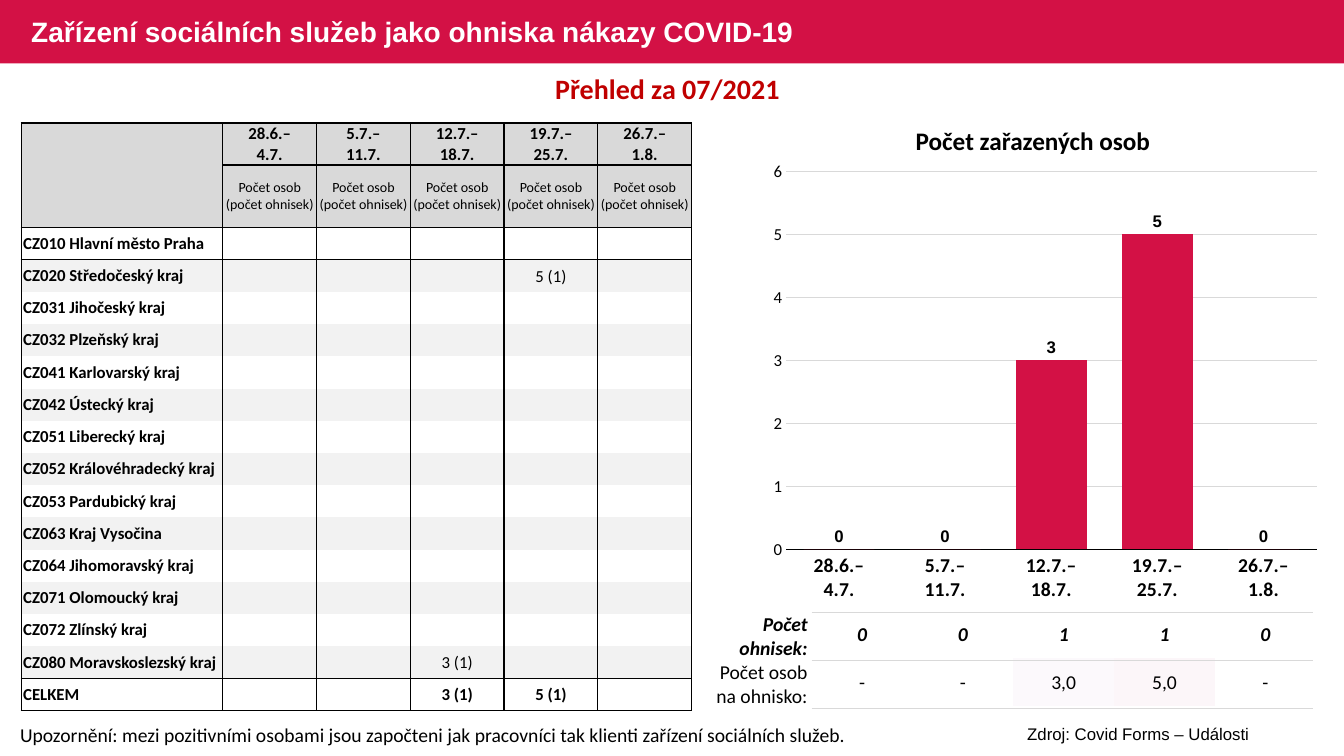
from dataclasses import dataclass

from lxml import etree
from pptx import Presentation
from pptx import util as u
from pptx.chart import data as chart_data
from pptx.dml import color as dml
from pptx.enum import chart as ch, shapes, text
from pptx.oxml import ns

COLORS = {
    "crimson": "D31145", "red": "C00000", "black": "000000", "white": "FFFFFF",
    "header": "D9D9D9", "band": "F2F2F2", "rule": "D9D9D9",
    "low": "FCF9FC", "high": "FCF6F9",
}
NO_STYLE = "{2D5ABB26-0587-4C30-8999-92F81FD0307C}"
LEFT, CENTER, RIGHT = text.PP_ALIGN.LEFT, text.PP_ALIGN.CENTER, text.PP_ALIGN.RIGHT

WEEKS = ["28.6.–\n4.7.", "5.7.–\n11.7.", "12.7.–\n18.7.", "19.7.–\n25.7.", "26.7.–\n1.8."]
PERSONS = [0, 0, 3, 5, 0]
REGIONS = [
    "CZ010 Hlavní město Praha", "CZ020 Středočeský kraj", "CZ031 Jihočeský kraj",
    "CZ032 Plzeňský kraj", "CZ041 Karlovarský kraj", "CZ042 Ústecký kraj",
    "CZ051 Liberecký kraj", "CZ052 Královéhradecký kraj", "CZ053 Pardubický kraj",
    "CZ063 Kraj Vysočina", "CZ064 Jihomoravský kraj", "CZ071 Olomoucký kraj",
    "CZ072 Zlínský kraj", "CZ080 Moravskoslezský kraj",
]
OUTBREAKS = {("CZ020", 3): "5 (1)", ("CZ080", 2): "3 (1)"}


@dataclass
class Style:
    size: float
    color: str = "black"
    bold: bool = False
    italic: bool = False
    name: str = "Calibri"
    align: text.PP_ALIGN = CENTER


@dataclass
class Label:
    words: str
    box: tuple[float, float, float, float]
    style: Style


LABELS = [
    Label("Přehled za 07/2021", (0.21, 0.66, 12.82, 0.44), Style(20, "red", True)),
    Label("Počet zařazených osob", (7.56, 1.19, 5.37, 0.4), Style(18, bold=True)),
    Label("Upozornění: mezi pozitivními osobami jsou započteni jak pracovníci "
          "tak klienti zařízení sociálních služeb.", (0.1, 7.12, 8.52, 0.34), Style(14, align=LEFT)),
    Label("Zdroj: Covid Forms – Události", (9.35, 7.13, 3.88, 0.3), Style(12, name="Arial")),
]


def rgb(name: str) -> dml.RGBColor:
    return dml.RGBColor.from_string(COLORS[name])


def inches(box: tuple) -> list:
    return [u.Inches(value) for value in box]


def set_font(font, style: Style) -> None:
    font.size, font.name = u.Pt(style.size), style.name
    font.bold, font.italic = style.bold, style.italic
    font.color.rgb = rgb(style.color)


def write(paragraph, words: str, style: Style) -> None:
    paragraph.text = words
    paragraph.alignment = style.align
    set_font(paragraph.font, style)


def add_table(slide, left: float, top: float, columns: list, rows: list):
    table = slide.shapes.add_table(len(rows), len(columns), *inches(
        (left, top, sum(columns), sum(rows)))).table
    table.first_row = table.horz_banding = False
    table._tbl.tblPr.find(ns.qn("a:tableStyleId")).text = NO_STYLE
    for column, width in zip(table.columns, columns):
        column.width = u.Inches(width)
    for row, height in zip(table.rows, rows):
        row.height = u.Inches(height)
    return table


def fill_cell(cell, words: str, style: Style, fill: str = "", borders: dict | None = None,
              color: str = "black", margins: tuple = (0.01, 0.01, 0.01, 0)) -> None:
    """Borders map a side (L, R, T, B) to a width in points."""
    cell.vertical_anchor = text.MSO_ANCHOR.MIDDLE
    cell.margin_left, cell.margin_top, cell.margin_right, cell.margin_bottom = inches(margins)
    properties = cell._tc.get_or_add_tcPr()
    for side in "LRTB":
        width = (borders or {}).get(side)
        if width:
            line = etree.SubElement(properties, ns.qn(f"a:ln{side}"), w=str(u.Pt(width)))
            solid = etree.SubElement(line, ns.qn("a:solidFill"))
            etree.SubElement(solid, ns.qn("a:srgbClr"), val=COLORS[color])
    if fill:
        cell.fill.solid()
        cell.fill.fore_color.rgb = rgb(fill)
    else:
        cell.fill.background()
    write(cell.text_frame.paragraphs[0], words, style)


def add_region_table(slide) -> None:
    rows = [["", *WEEKS], [""] + ["Počet osob (počet ohnisek)"] * 5]
    rows += [[region] + [OUTBREAKS.get((region[:5], week), "") for week in range(5)]
             for region in REGIONS]
    rows.append(["CELKEM", "", "", "3 (1)", "5 (1)", ""])
    last = len(rows) - 1
    rules = {0: 1, 1: 1, 2: 0.5, last: 1, last + 1: 1}
    table = add_table(slide, 0.21, 1.22, [2] + [0.93] * 5, [0.41, 0.62] + [0.32] * (last - 1))
    for r, row in enumerate(rows):
        for c, words in enumerate(row):
            borders = {"L": 1, "R": 1, "T": rules.get(r), "B": rules.get(r + 1)}
            if c == 0 and r < 2:
                borders["B" if r == 0 else "T"] = None
            fill = "header" if r < 2 else "band" if r % 2 and r < last else ""
            style = Style(10 if r == 1 else 12, bold=r in (0, last) or c == 0,
                          align=CENTER if c else LEFT)
            margins = (0.01, 0.01, 0.01, 0) if c else (0.02, 0, 0.02, 0)
            fill_cell(table.cell(r, c), words, style, fill, borders, margins=margins)


def add_outbreak_tables(slide) -> None:
    styles = [Style(14, bold=True, italic=True), Style(14)]
    # Values under the chart
    values = [["0", "0", "1", "1", "0"], ["-", "-", "3,0", "5,0", "-"]]
    tints = {(1, 2): "low", (1, 3): "high"}
    table = add_table(slide, 8.05, 6.06, [1] * 5, [0.47] * 2)
    for r, row in enumerate(values):
        for c, words in enumerate(row):
            fill_cell(table.cell(r, c), words, styles[r], tints.get((r, c), ""))
    # Row names with grey rules running across the values
    table = add_table(slide, 7.04, 6.08, [1.01] + [0.71] * 7, [0.47] * 2)
    for r, name in enumerate(["Počet ohnisek:", "Počet osob na ohnisko:"]):
        styles[r].align = RIGHT
        fill_cell(table.cell(r, 0), name, styles[r], margins=(0.01, 0, 0.04, 0))
        for c in range(1, 8):
            fill_cell(table.cell(r, c), "", styles[r], borders={"T": 1, "B": 1}, color="rule")


def add_person_chart(slide) -> None:
    source = chart_data.CategoryChartData()
    source.categories = WEEKS
    source.add_series("Počet osob", PERSONS)
    chart = slide.shapes.add_chart(ch.XL_CHART_TYPE.COLUMN_CLUSTERED,
                                   *inches((7.56, 1.51, 5.61, 4.55)), source).chart
    chart.has_legend = chart.has_title = False
    set_font(chart.font, Style(14, bold=True, name="Arial"))
    # Columns and their labels
    plot = chart.plots[0]
    plot.gap_width, plot.vary_by_categories, plot.has_data_labels = 50, False, True
    column_fill = plot.series[0].format.fill
    column_fill.solid()
    column_fill.fore_color.rgb = rgb("crimson")
    labels = plot.data_labels
    labels.show_value, labels.position = True, ch.XL_LABEL_POSITION.OUTSIDE_END
    set_font(labels.font, Style(12, bold=True, name="Arial"))
    # Axes
    weeks, persons = chart.category_axis, chart.value_axis
    for axis, style in ((weeks, Style(14, bold=True)), (persons, Style(12))):
        axis.major_tick_mark = axis.minor_tick_mark = ch.XL_TICK_MARK.NONE
        set_font(axis.tick_labels.font, style)
    persons.minimum_scale, persons.maximum_scale, persons.major_unit = 0, 6, 1
    persons.format.line.fill.background()
    for line, color in ((weeks.format.line, "black"), (persons.major_gridlines.format.line, "rule")):
        line.width, line.color.rgb = u.Pt(0.75), rgb(color)


def add_title(slide) -> None:
    bar = slide.shapes.add_shape(shapes.MSO_SHAPE.RECTANGLE, *inches((0, 0, 13.33, 0.63)))
    bar.shadow.inherit = False
    bar.fill.solid()
    bar.fill.fore_color.rgb = rgb("crimson")
    bar.line.fill.background()
    slide.shapes._spTree.insert(2, bar._element)  # behind the title
    title = slide.shapes.title
    title.left, title.top, title.width, title.height = inches((0.21, 0.02, 8.13, 0.63))
    frame = title.text_frame
    frame.vertical_anchor, frame.auto_size = text.MSO_ANCHOR.MIDDLE, text.MSO_AUTO_SIZE.NONE
    write(frame.paragraphs[0], "Zařízení sociálních služeb jako ohniska nákazy COVID-19",
          Style(20, "white", True, name="Arial", align=LEFT))
    frame.paragraphs[0].line_spacing = 0.9


def add_label(slide, label: Label) -> None:
    frame = slide.shapes.add_textbox(*inches(label.box)).text_frame
    frame.word_wrap, frame.auto_size = True, text.MSO_AUTO_SIZE.SHAPE_TO_FIT_TEXT
    write(frame.paragraphs[0], label.words, label.style)


def main() -> None:
    presentation = Presentation()
    presentation.slide_width, presentation.slide_height = inches((13.33, 7.5))
    slide = presentation.slides.add_slide(presentation.slide_layouts[5])
    add_title(slide)
    add_region_table(slide)
    add_person_chart(slide)
    add_outbreak_tables(slide)
    for label in LABELS:
        add_label(slide, label)
    presentation.save("out.pptx")


if __name__ == "__main__":
    main()
